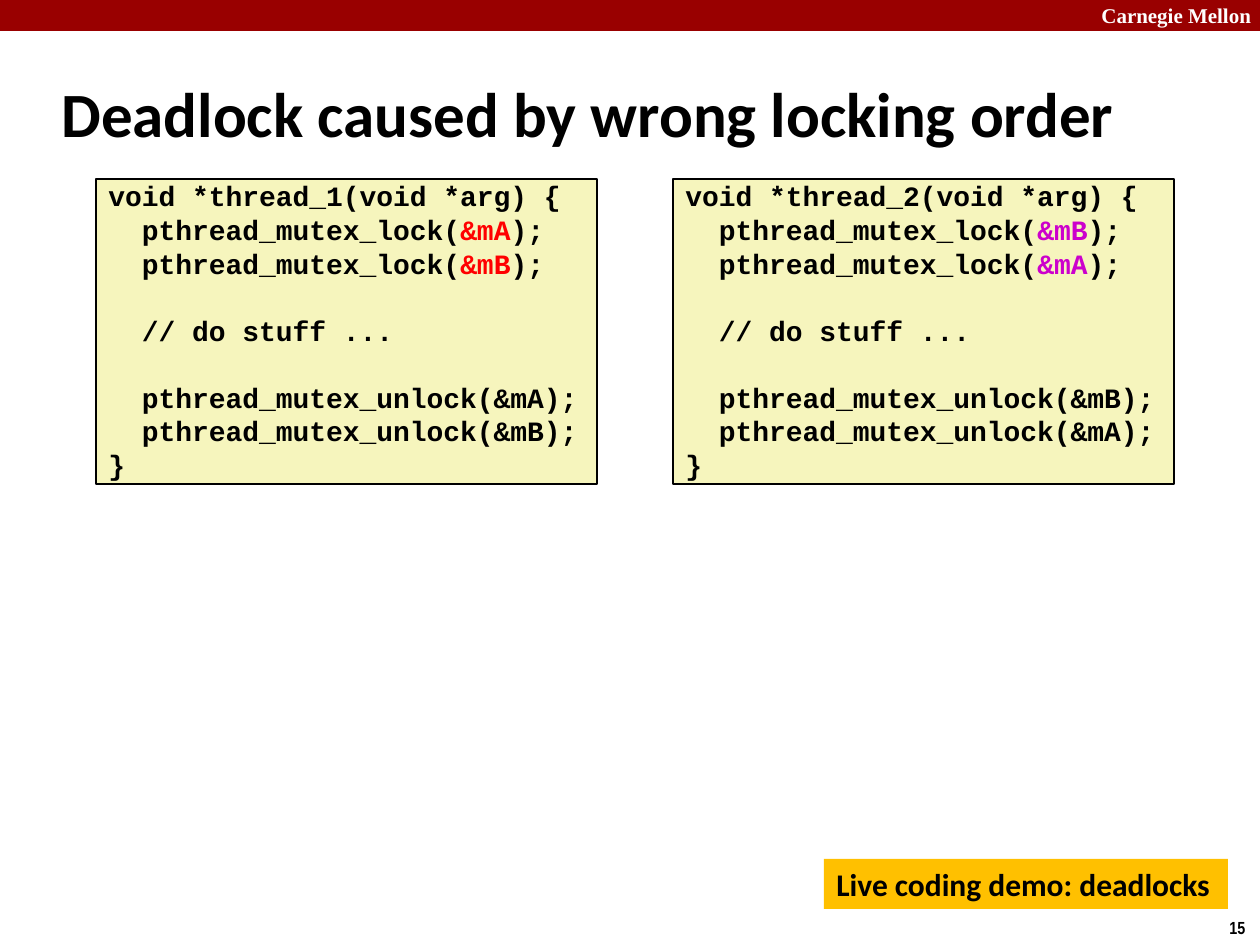
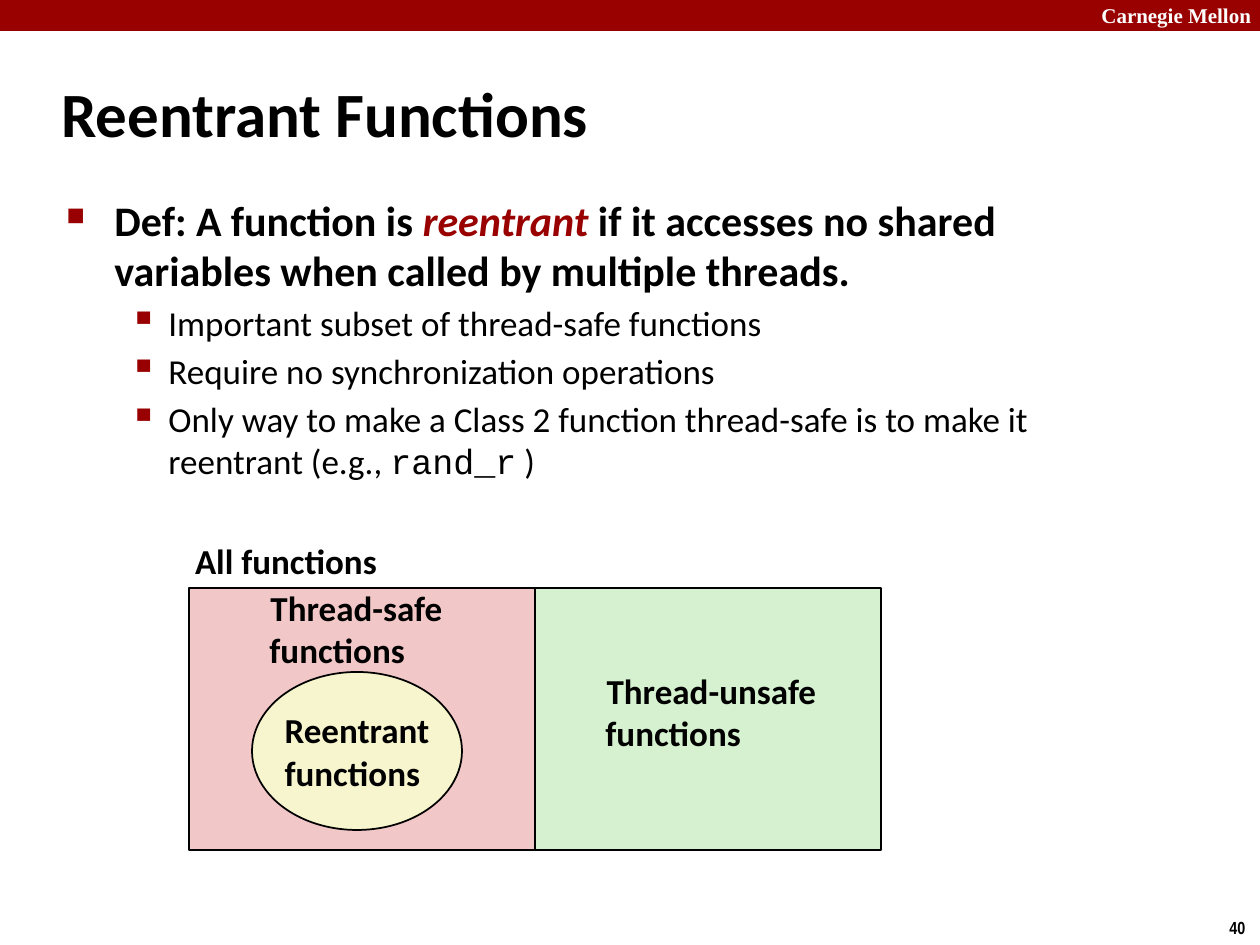
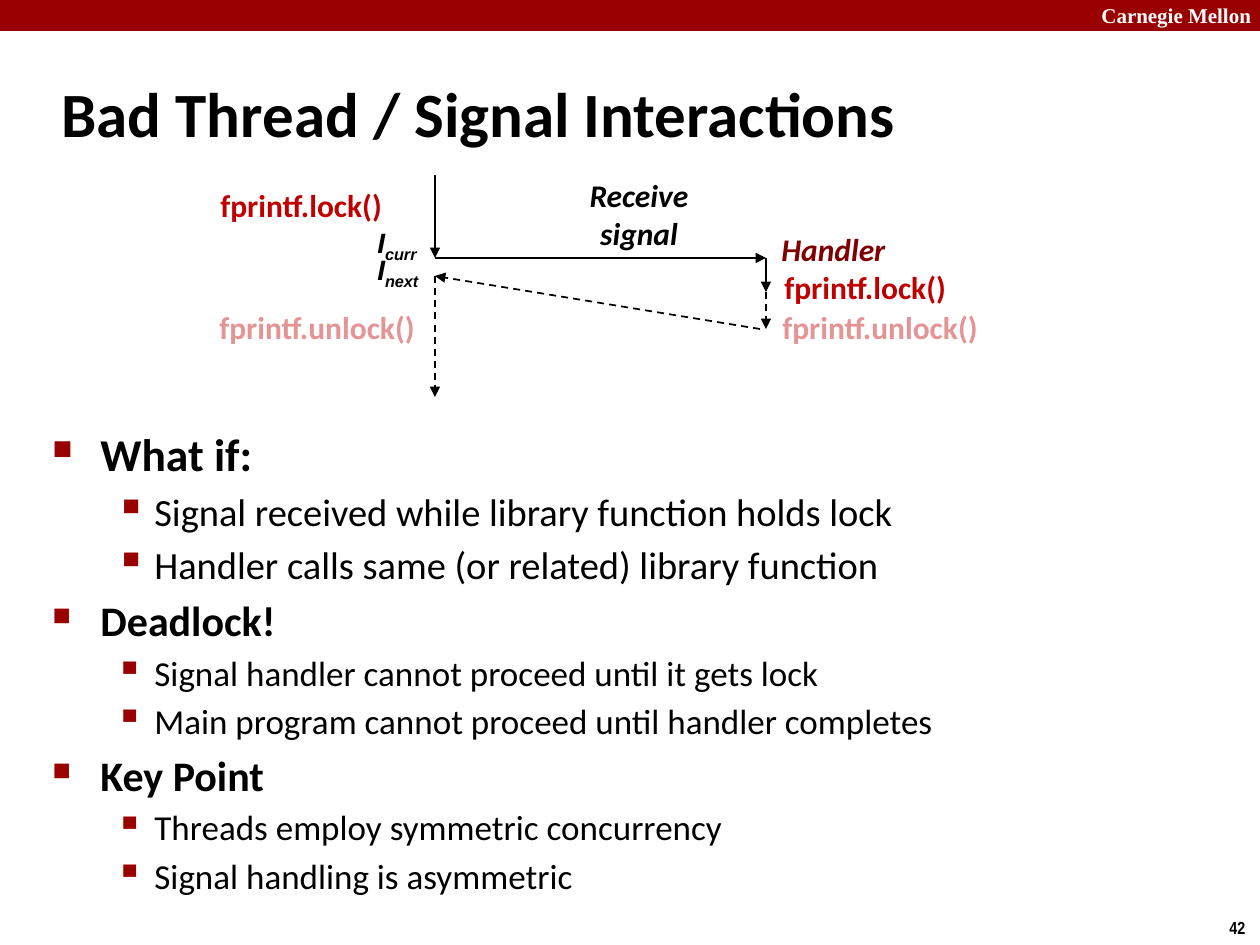
from dataclasses import dataclass

from lxml.etree import SubElement
from pptx import Presentation
from pptx.dml.color import RGBColor
from pptx.enum.dml import MSO_LINE
from pptx.enum.shapes import MSO_CONNECTOR, MSO_SHAPE
from pptx.enum.text import MSO_ANCHOR, MSO_AUTO_SIZE, PP_ALIGN
from pptx.oxml.ns import qn
from pptx.util import Emu, Pt

PX = 914400 / 126


@dataclass(frozen=True)
class Theme:
    black: str = "000000"
    white: str = "FFFFFF"
    crimson: str = "990000"
    code_fill: str = "F6F5BD"
    first_thread: str = "FF0000"
    second_thread: str = "CC00CC"
    demo_fill: str = "FFC000"
    safe_fill: str = "F1C7C7"
    unsafe_fill: str = "D5F1CF"
    reentrant_fill: str = "F7F5CD"
    handler: str = "800000"
    lock: str = "C00000"
    faded_lock: str = "E49494"
    body_font: str = "Calibri"
    code_font: str = "Courier New"
    brand_font: str = "Times New Roman"
    number_font: str = "Arial Narrow"
    instruction_font: str = "Arial"
    title_size: int = 36
    topic_size: int = 24
    detail_size: int = 20
    label_size: int = 18
    code_size: int = 16
    brand_size: int = 12
    number_size: int = 10


THEME = Theme()


@dataclass(frozen=True)
class Box:
    left: int
    top: int
    width: int
    height: int

    def inner(self, left, top, width, height):
        return Box(self.left + left, self.top + top, width, height)

    def emu(self):
        return [px(v) for v in (self.left, self.top, self.width, self.height)]


@dataclass(frozen=True)
class Style:
    size: int
    font: str = THEME.body_font
    color: str = THEME.black
    bold: bool = True
    italic: bool = False
    baseline: int = 0


def px(value):
    return Emu(round(value * PX))


def rgb(color):
    return RGBColor.from_string(color)


def format_run(run, style):
    font = run.font
    font.size, font.name = Pt(style.size), style.font
    font.bold, font.italic = style.bold, style.italic
    font.color.rgb = rgb(style.color)
    if style.baseline:
        run._r.get_or_add_rPr().set("baseline", str(style.baseline))


def fill_paragraph(paragraph, parts, style):
    paragraph.font.size = Pt(style.size)
    for part in [parts] if isinstance(parts, str) else parts:
        text, part_style = (part, style) if isinstance(part, str) else part
        run = paragraph.add_run()
        run.text = text
        format_run(run, part_style)


def paragraphs_for(text_frame, count):
    for _ in range(count - 1):
        text_frame.add_paragraph()
    return text_frame.paragraphs


def write(text_frame, lines, style, wrap=False, grow=True, anchor=MSO_ANCHOR.TOP,
          aligns=()):
    text_frame.word_wrap = wrap
    text_frame.auto_size = MSO_AUTO_SIZE.SHAPE_TO_FIT_TEXT if grow else MSO_AUTO_SIZE.NONE
    text_frame.vertical_anchor = anchor
    for index, paragraph in enumerate(paragraphs_for(text_frame, len(lines))):
        paragraph.alignment = aligns[index] if index < len(aligns) else PP_ALIGN.LEFT
        fill_paragraph(paragraph, lines[index], style)


def add_text(slide, box, lines, style, **layout):
    shape = slide.shapes.add_textbox(*box.emu())
    write(shape.text_frame, lines, style, **layout)
    return shape


def add_panel(slide, box, fill, kind=MSO_SHAPE.RECTANGLE, outlined=True):
    shape = slide.shapes.add_shape(kind, *box.emu())
    shape.shadow.inherit = False
    shape.fill.solid()
    shape.fill.fore_color.rgb = rgb(fill)
    if outlined:
        shape.line.color.rgb = rgb(THEME.black)
        shape.line.width = Pt(1)
    else:
        shape.line.fill.background()
    return shape


def add_arrow(slide, box, start, end, dashed=False):
    points = [px(v) for x, y in (start, end) for v in (box.left + x, box.top + y)]
    connector = slide.shapes.add_connector(MSO_CONNECTOR.STRAIGHT, *points)
    connector.line.color.rgb = rgb(THEME.black)
    connector.line.width = Pt(1)
    if dashed:
        connector.line.dash_style = MSO_LINE.DASH
    SubElement(connector.line._get_or_add_ln(), qn("a:tailEnd"), type="triangle")
    SubElement(connector._element.spPr, qn("a:effectLst"))


def add_bullet(paragraph, level):
    margin, hanging, percent, mark = ((48, 48, 60, "■"), (102, 39, 110, "▪"))[level]
    properties = paragraph._p.get_or_add_pPr()
    properties.set("marL", str(px(margin)))
    properties.set("indent", str(-px(hanging)))
    color = SubElement(properties, qn("a:buClr"))
    SubElement(color, qn("a:srgbClr"), val=THEME.crimson)
    SubElement(properties, qn("a:buSzPct"), val=str(percent * 1000))
    SubElement(properties, qn("a:buChar"), char=mark)


def add_outline(slide, box, items):
    text_frame = slide.shapes.add_textbox(*box.emu()).text_frame
    text_frame.word_wrap = True
    paragraphs = paragraphs_for(text_frame, len(items))
    for index, (level, size, parts) in enumerate(items):
        paragraph = paragraphs[index]
        paragraph.level = level
        add_bullet(paragraph, level)
        if index:
            paragraph.space_before = Pt(round(size * 0.18, 1))
        fill_paragraph(paragraph, parts, Style(size, bold=level == 0))


def add_frame(presentation, title, number, title_width=1046):
    slide = presentation.slides.add_slide(presentation.slide_layouts[6])
    add_panel(slide, Box(0, 0, 1260, 31), THEME.crimson, outlined=False)
    add_text(slide, Box(1089, -4, 180, 38), ["Carnegie Mellon"],
             Style(THEME.brand_size, THEME.brand_font, THEME.white), wrap=True)
    add_text(slide, Box(1217, 911, 43, 34), [str(number)],
             Style(THEME.number_size, THEME.number_font))
    add_text(slide, Box(49, 60, title_width, 105), [title], Style(THEME.title_size),
             wrap=True, grow=False, anchor=MSO_ANCHOR.MIDDLE)
    return slide


def add_thread_code(slide, box, thread, mutexes, color):
    code = Style(THEME.code_size, THEME.code_font)
    marked = Style(THEME.code_size, THEME.code_font, color)
    locks = [["  pthread_mutex_lock(", (f"&{name}", marked), ");"] for name in mutexes]
    unlocks = [f"  pthread_mutex_unlock(&{name});" for name in mutexes]
    lines = [f"void *thread_{thread}(void *arg) {{", *locks, [],
             "  // do stuff ...", [], *unlocks, "}"]
    text_frame = add_panel(slide, box, THEME.code_fill).text_frame
    text_frame.margin_top = text_frame.margin_bottom = 0
    write(text_frame, lines, code)


def add_function_sets(slide, box):
    label = Style(THEME.detail_size)
    half_width, half_height = 346, 262
    for column, fill in enumerate((THEME.safe_fill, THEME.unsafe_fill)):
        half = box.inner(8 + column * half_width, 55, half_width, half_height)
        add_panel(slide, half, fill)
    layout = dict(anchor=MSO_ANCHOR.MIDDLE, aligns=(PP_ALIGN.CENTER,))
    ellipse = add_panel(slide, box.inner(71, 139, 210, 158), THEME.reentrant_fill,
                        MSO_SHAPE.OVAL)
    write(ellipse.text_frame, ["Reentrant", "functions"], label, grow=False, **layout)
    for place, lines in (
        ((0, 0, 210, 55), ["All functions"]),
        ((412, 130, 237, 97), ["Thread-unsafe", "functions"]),
        ((76, 47, 199, 97), ["Thread-safe", "functions"]),
    ):
        add_text(slide, box.inner(*place), lines, label, **layout)


def add_signal_flow(slide, box):
    main, handler = 228, 559
    signal, resume, locked, returned = 88, 106, 122, 159
    for start, end, dashed in (
        ((main, 5), (main, signal), False),
        ((main, signal), (handler, signal), False),
        ((handler, signal), (handler, locked), False),
        ((handler, locked), (handler, returned), True),
        ((handler - 6, returned), (main, resume), True),
        ((main, resume), (main, box.height), True),
    ):
        add_arrow(slide, box, start, end, dashed)

    instruction = Style(THEME.code_size, THEME.instruction_font, italic=True)
    subscript = Style(THEME.code_size, THEME.instruction_font, italic=True, baseline=-25000)
    for top, name in ((49, "curr"), (76, "next")):
        add_text(slide, box.inner(158, top, 77, 47), [["I", (name, subscript)]], instruction)

    add_text(slide, box.inner(365, 0, 134, 89), ["Receive", "signal"],
             Style(THEME.label_size, italic=True), aligns=(PP_ALIGN.CENTER,) * 2)
    add_text(slide, box.inner(562, 54, 131, 50), ["Handler"],
             Style(THEME.label_size, color=THEME.handler, italic=True))
    for left, top in ((1, 10), (565, 92)):
        add_text(slide, box.inner(left, top, 194, 50), ["fprintf.lock()"],
                 Style(THEME.label_size, color=THEME.lock))
    for left in (0, 563):
        add_text(slide, box.inner(left, 132, 223, 50), ["fprintf.unlock()"],
                 Style(THEME.label_size, color=THEME.faded_lock))


def build_deadlock_slide(presentation):
    slide = add_frame(presentation, "Deadlock caused by wrong locking order", 15, 1126)
    add_thread_code(slide, Box(96, 179, 501, 305), 1, ("mA", "mB"), THEME.first_thread)
    add_thread_code(slide, Box(673, 179, 501, 305), 2, ("mB", "mA"), THEME.second_thread)
    demo = add_panel(slide, Box(824, 859, 404, 50), THEME.demo_fill, outlined=False)
    write(demo.text_frame, ["Live coding demo: deadlocks"], Style(THEME.label_size), wrap=True)


def build_reentrant_slide(presentation):
    slide = add_frame(presentation, "Reentrant Functions", 40)
    topic, detail = THEME.topic_size, THEME.detail_size
    term = Style(topic, color=THEME.crimson, italic=True)
    code = Style(detail, THEME.code_font, bold=False)
    add_outline(slide, Box(54, 188, 1089, 324), [
        (0, topic, ["Def: A function is ", ("reentrant", term),
                    " if it accesses no shared variables when called by multiple threads."]),
        (1, detail, "Important subset of thread-safe functions"),
        (1, detail, "Require no synchronization operations"),
        (1, detail, ["Only way to make a Class 2 function thread-safe is to make it "
                     "reentrant (e.g., ", ("rand_r", code), " )"]),
    ])
    add_function_sets(slide, Box(181, 533, 700, 317))


def build_signal_slide(presentation):
    slide = add_frame(presentation, "Bad Thread / Signal Interactions", 42)
    topic, detail = THEME.topic_size, THEME.detail_size
    add_outline(slide, Box(40, 420, 1188, 433), [
        (0, topic + 2, "What if:"),
        (1, detail + 2, "Signal received while library function holds lock"),
        (1, detail + 2, "Handler calls same (or related) library function"),
        (0, topic, "Deadlock!"),
        (1, detail, "Signal handler cannot proceed until it gets lock"),
        (1, detail, "Main program cannot proceed until handler completes"),
        (0, topic, "Key Point"),
        (1, detail, "Threads employ symmetric concurrency"),
        (1, detail, "Signal handling is asymmetric"),
    ])
    add_signal_flow(slide, Box(207, 170, 786, 227))


def main():
    presentation = Presentation()
    presentation.slide_width, presentation.slide_height = px(1260), px(945)
    build_deadlock_slide(presentation)
    build_reentrant_slide(presentation)
    build_signal_slide(presentation)
    presentation.save("out.pptx")


if __name__ == "__main__":
    main()
